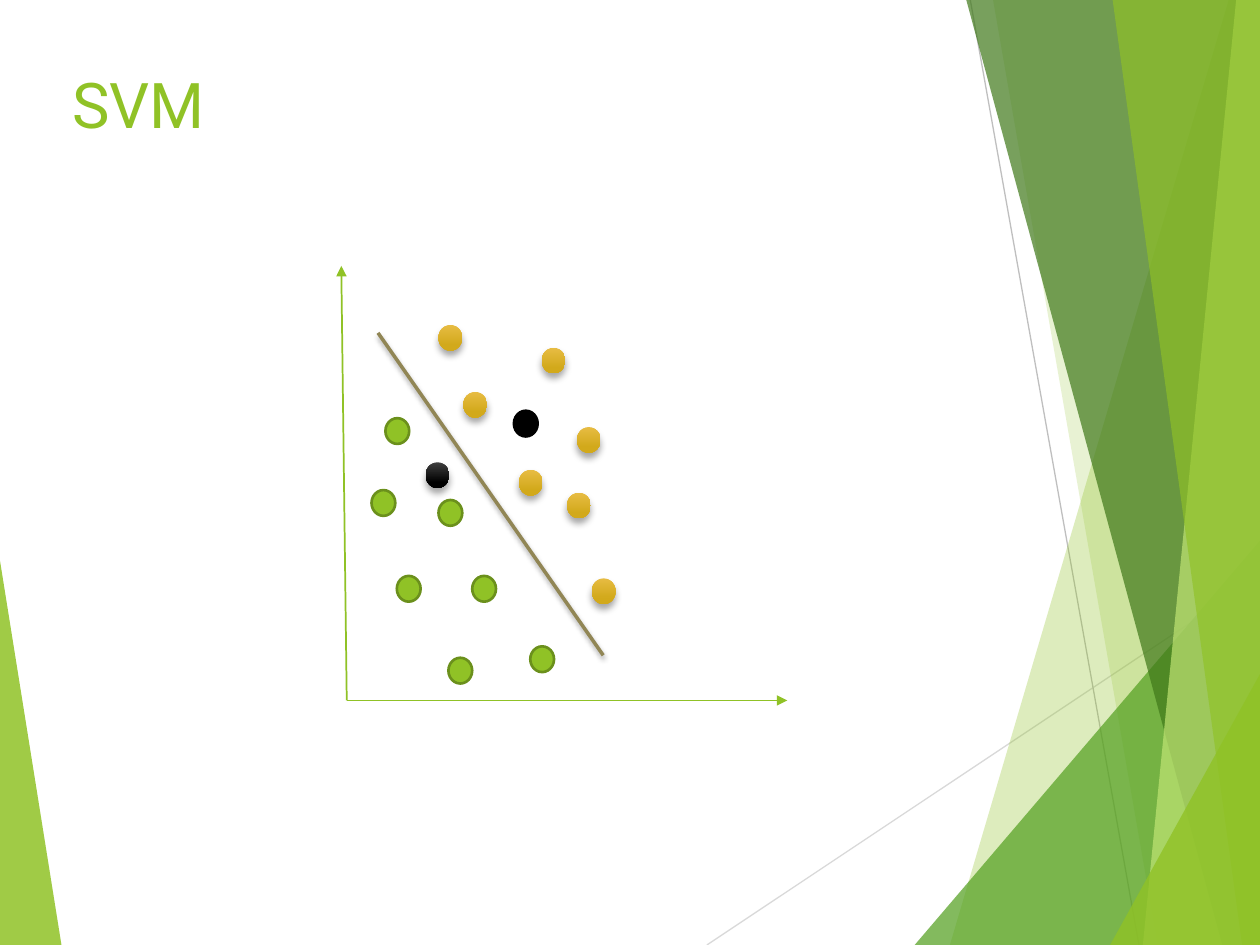
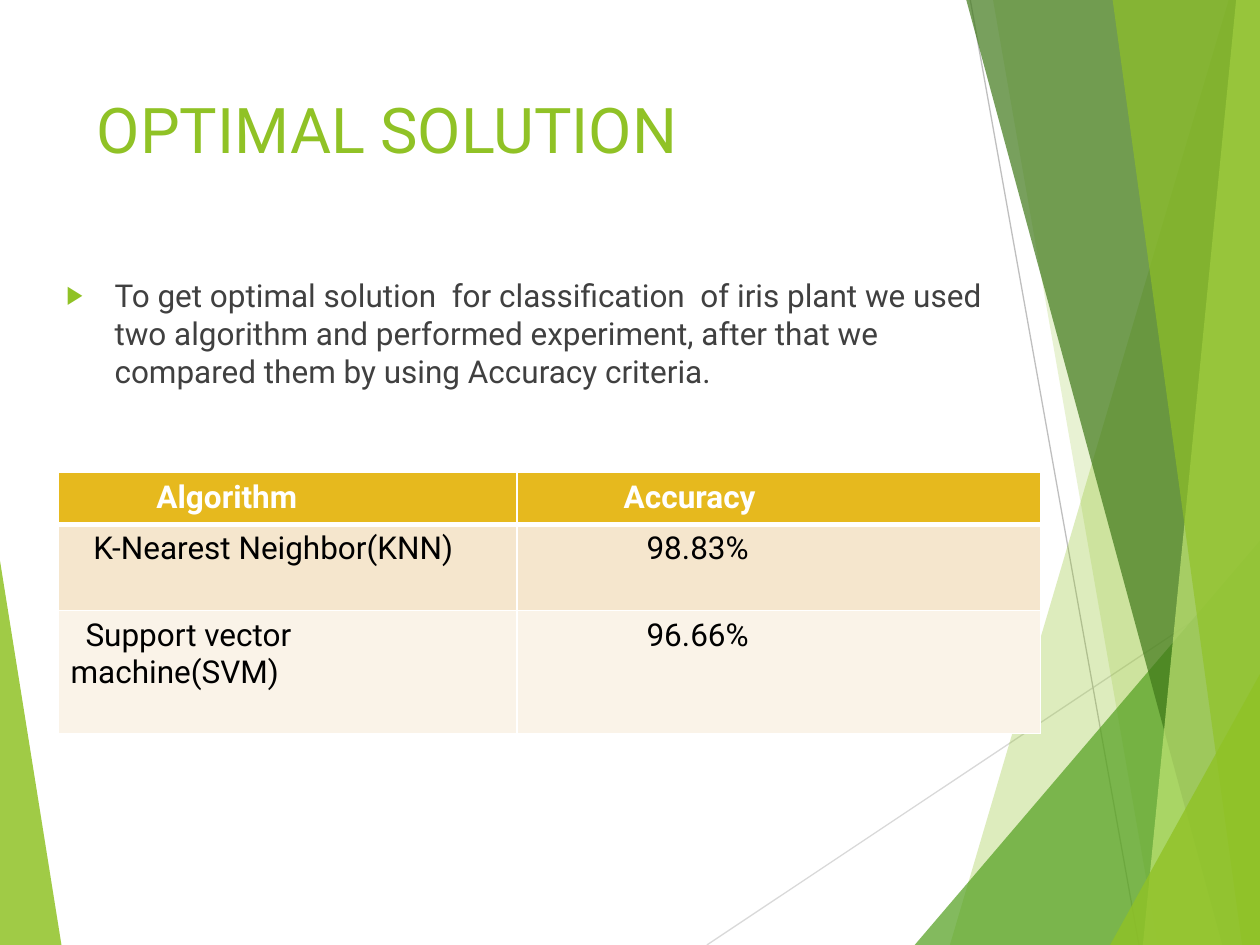
"""Build two slides that compare classifiers for iris plants."""
from lxml import etree
from pptx import Presentation
from pptx import util as u
from pptx.dml.color import RGBColor
from pptx.enum import shapes, text
from pptx.oxml import ns

LIME = RGBColor(0x90, 0xC2, 0x26)
PALE_LIME = RGBColor(0xC0, 0xE4, 0x74)
LEAF = RGBColor(0x54, 0xA0, 0x21)
FOREST = RGBColor(0x3F, 0x78, 0x19)
OLIVE = RGBColor(0x6B, 0x90, 0x1C)
KHAKI = RGBColor(0x91, 0x86, 0x55)
GOLD = RGBColor(0xE6, 0xB9, 0x1E)
GOLD_TOP = RGBColor(0xE7, 0xBC, 0x43)
GOLD_BASE = RGBColor(0xD2, 0xA9, 0x1B)
SAND = RGBColor(0xF5, 0xE6, 0xCD)
CREAM = RGBColor(0xFA, 0xF3, 0xE8)
BLACK = RGBColor(0, 0, 0)
CHARCOAL = RGBColor(0x3F, 0x3F, 0x3F)
TEXT_GREY = RGBColor(0x40, 0x40, 0x40)
LIGHT_GREY = RGBColor(0xD9, 0xD9, 0xD9)
MID_GREY = RGBColor(0xBF, 0xBF, 0xBF)
WHITE = RGBColor(0xFF, 0xFF, 0xFF)

FONT = "Roboto"
WIDTH, HEIGHT = 25.4, 19.05
DOT_WIDTH, DOT_HEIGHT = 0.48, 0.52
TITLE_FONT = {"name": FONT, "size": u.Pt(36), "bold": False}
BODY_FONT = {"name": FONT, "size": u.Pt(18), "bold": False}
HEADER_FONT = {**BODY_FONT, "bold": True}
FRAME = {"word_wrap": True, "auto_size": text.MSO_AUTO_SIZE.NONE,
         "vertical_anchor": text.MSO_ANCHOR.TOP}

GREEN_DOTS = [(0.61, 4.52), (0.89, 3.07), (1.96, 4.72), (1.12, 6.25),
              (2.64, 6.25), (2.16, 7.9), (3.81, 7.67)]
GOLD_DOTS = [(1.96, 1.19), (2.46, 2.54), (4.04, 1.65), (3.58, 4.11),
             (4.75, 3.25), (4.55, 4.57), (5.05, 6.3)]
SHADED_DOT = (1.7, 3.96)
BLACK_DOT = (3.48, 2.92)


def set_values(target, values):
    """Set each named attribute on the target."""
    for name, value in values.items():
        setattr(target, name, value)


def add_child(parent, tag, **attributes):
    """Append a drawing element to the parent and return it."""
    return etree.SubElement(parent, ns.qn(tag), attributes)


def add_effects(shape, blur=0, distance=0):
    """Give the shape a soft shadow below it, or none when blur is zero."""
    effects = add_child(shape.element.spPr, "a:effectLst")
    if blur:
        shadow = add_child(effects, "a:outerShdw", blurRad=str(u.Pt(blur)),
                           dist=str(u.Pt(distance)), dir="5400000",
                           rotWithShape="0")
        color = add_child(shadow, "a:srgbClr", val=str(BLACK))
        add_child(color, "a:alpha", val="35000")


def write(paragraph, words, font_values, color):
    """Add one formatted run to the paragraph."""
    run = paragraph.add_run()
    run.text = words
    set_values(run.font, font_values)
    run.font.color.rgb = color


def add_line(slide, start, end, color, weight, arrow=False, shadow=False):
    """Draw a straight line between two points given in centimetres."""
    ends = [u.Cm(value) for value in (*start, *end)]
    line = slide.shapes.add_connector(shapes.MSO_CONNECTOR.STRAIGHT, *ends)
    line.line.color.rgb = color
    line.line.width = u.Pt(weight)
    if arrow:
        add_child(line.line._get_or_add_ln(), "a:tailEnd", type="triangle")
    add_effects(line, *((3, 2) if shadow else ()))
    return line


def add_facet(slide, points, color, opacity):
    """Draw a translucent polygon from points in centimetres."""
    start, *others = [(u.Cm(x), u.Cm(y)) for x, y in points]
    builder = slide.shapes.build_freeform(*start)
    builder.add_line_segments(others, close=True)
    facet = builder.convert_to_shape()
    facet.shadow.inherit = False
    facet.fill.solid()
    facet.fill.fore_color.rgb = color
    facet.line.fill.background()
    tint = facet.element.spPr.find(ns.qn("a:solidFill"))[0]
    add_child(tint, "a:alpha", val=str(opacity * 1000))
    return facet


def band(top, bottom):
    """Return the outline of a facet that reaches the right edge."""
    return [(top, 0), (bottom, HEIGHT), (WIDTH, HEIGHT), (WIDTH, 0)]


def corner(left, top):
    """Return the outline of a triangle in the lower right corner."""
    return [(left, HEIGHT), (WIDTH, top), (WIDTH, HEIGHT)]


def add_backdrop(slide):
    """Draw the facets and move them to the layout the slides share."""
    wedge = [(0, 11.3), (1.24, HEIGHT), (0, HEIGHT)]
    backdrop = [
        add_facet(slide, wedge, LIME, 85),
        add_line(slide, (14.25, HEIGHT), (WIDTH, 11.62), LIGHT_GREY, 0.75),
        add_line(slide, (19.56, 0), (22.96, HEIGHT), MID_GREY, 0.75),
    ]
    for outline, color, opacity in [
            (band(24.77, 19.15), LIME, 30),
            (band(20.02, 23.34), LIME, 20),
            (corner(18.44, 10.9), LEAF, 72),
            (band(19.48, 24.64), FOREST, 70),
            (band(24.92, 23.04), PALE_LIME, 70),
            (band(22.43, 25.04), LIME, 65),
            (corner(22.38, 13.59), LIME, 80)]:
        backdrop.append(add_facet(slide, outline, color, opacity))
    tree = slide.slide_layout.shapes.element
    for order, shape in enumerate(backdrop):
        shape.element.xpath(".//p:cNvPr")[0].set("id", str(100 + order))
        tree.insert(2 + order, shape.element)


def add_title(slide, words, box):
    """Place and format the title placeholder in the box."""
    title = slide.shapes.title
    set_values(title, dict(zip(("left", "top", "width", "height"),
                               map(u.Cm, box))))
    set_values(title.text_frame, FRAME)
    paragraph = title.text_frame.paragraphs[0]
    paragraph.alignment = text.PP_ALIGN.LEFT
    write(paragraph, words, TITLE_FONT, LIME)


def add_dot(slide, left, top, colors, outline=None):
    """Draw a dot, shaded and shadowed when it has two colours."""
    dot = slide.shapes.add_shape(
        shapes.MSO_SHAPE.OVAL, *map(u.Cm, (left, top, DOT_WIDTH, DOT_HEIGHT)))
    if outline is None:
        dot.line.fill.background()
    else:
        dot.line.color.rgb = outline
        dot.line.width = u.Pt(1.5)
    if len(colors) == 1:
        dot.shadow.inherit = False
        dot.fill.solid()
        dot.fill.fore_color.rgb = colors[0]
        return
    dot.fill.gradient()
    dot.fill.gradient_angle = 270
    for stop, color, position in zip(dot.fill.gradient_stops, colors, (0, 0.78)):
        stop.color.rgb = color
        stop.position = position
    add_effects(dot, 4, 3)


def add_scatter(slide, box):
    """Draw the axes, the two classes and the line that separates them."""
    left, top, width, height = box
    right, bottom = left + width, top + height
    origin = (left + 0.11, bottom)
    add_line(slide, origin, (left, top), LIME, 1, arrow=True)
    add_line(slide, origin, (right, bottom), LIME, 1, arrow=True)
    for x, y in GREEN_DOTS:
        add_dot(slide, left + x, top + y, [LIME], OLIVE)
    add_line(slide, (left + 0.74, top + 1.35), (left + 5.28, top + 7.85),
             KHAKI, 2, shadow=True)
    for x, y in GOLD_DOTS:
        add_dot(slide, left + x, top + y, [GOLD_TOP, GOLD_BASE])
    x, y = SHADED_DOT
    add_dot(slide, left + x, top + y, [CHARCOAL, BLACK])
    x, y = BLACK_DOT
    add_dot(slide, left + x, top + y, [BLACK], BLACK)


def add_bullet(slide, words, box):
    """Write one bulleted paragraph in the box."""
    frame = slide.shapes.add_textbox(*map(u.Cm, box)).text_frame
    set_values(frame, FRAME)
    paragraph = frame.paragraphs[0]
    write(paragraph, words, BODY_FONT, TEXT_GREY)
    properties = paragraph._p.get_or_add_pPr()
    properties.set("marL", str(u.Cm(0.97)))
    properties.set("indent", str(u.Cm(-0.97)))
    add_child(add_child(properties, "a:buClr"), "a:srgbClr", val=str(LIME))
    add_child(properties, "a:buSzPct", val="80000")
    add_child(properties, "a:buFont", typeface=FONT)
    add_child(properties, "a:buChar", char="▶")


def add_borders(cell, bottom_weight):
    """Draw white borders round the cell."""
    properties = cell._tc.get_or_add_tcPr()
    weights = {"a:lnL": 1, "a:lnR": 1, "a:lnT": 1, "a:lnB": bottom_weight}
    for order, (tag, weight) in enumerate(weights.items()):
        border = etree.Element(ns.qn(tag), w=str(u.Pt(weight)))
        fill = add_child(border, "a:solidFill")
        add_child(fill, "a:srgbClr", val=str(WHITE))
        properties.insert(order, border)


def add_accuracy_table(slide, box):
    """Draw the table of algorithms and their accuracy."""
    rows = [
        (1.04, GOLD, HEADER_FONT, WHITE, [("Algorithm", 1.73), ("Accuracy", 1.9)]),
        (1.74, SAND, BODY_FONT, BLACK,
         [("K-Nearest Neighbor(KNN)", 0.46), ("98.83%", 2.36)]),
        (2.48, CREAM, BODY_FONT, BLACK,
         [("Support vector machine(SVM)", 0.3), ("96.66%", 2.36)]),
    ]
    left, top, width, height = box
    table = slide.shapes.add_table(len(rows), 2, *map(u.Cm, box)).table
    table.horz_banding = False
    algorithm_width = 9.25
    for column, size in zip(table.columns,
                            (algorithm_width, width - algorithm_width)):
        column.width = u.Cm(size)
    for row, (height, fill, font, color, entries) in zip(table.rows, rows):
        row.height = u.Cm(height)
        for cell, (words, indent) in zip(row.cells, entries):
            cell.margin_right = u.Cm(0.8)
            cell.fill.solid()
            cell.fill.fore_color.rgb = fill
            add_borders(cell, 3 if fill == GOLD else 1)
            paragraph = cell.text_frame.paragraphs[0]
            write(paragraph, words, font, color)
            paragraph._p.get_or_add_pPr().set("indent", str(u.Cm(indent)))


def build_svm_slide(slide):
    """Fill the slide that shows a separating line."""
    add_title(slide, "SVM", (1.2, 1.19, 17.63, 1.96))
    add_scatter(slide, (6.88, 5.36, 8.99, 8.76))


def build_solution_slide(slide):
    """Fill the slide that compares the accuracy of both algorithms."""
    add_title(slide, "OPTIMAL SOLUTION", (1.7, 1.7, 17.63, 3.66))
    add_bullet(slide, "To get optimal solution  for classification  of iris "
               "plant we used two algorithm and performed experiment, after "
               "that we compared them by using Accuracy criteria.",
               (1.09, 5.44, 19.41, 3.2))
    add_accuracy_table(slide, (1.17, 9.53, 19.81, 5.26))


def main():
    """Build and save the presentation."""
    presentation = Presentation()
    presentation.slide_width = u.Cm(WIDTH)
    presentation.slide_height = u.Cm(HEIGHT)
    layout = presentation.slide_layouts.get_by_name("Title Only")
    svm_slide, solution_slide = [presentation.slides.add_slide(layout)
                                 for _ in range(2)]
    add_backdrop(svm_slide)
    build_svm_slide(svm_slide)
    build_solution_slide(solution_slide)
    presentation.save("out.pptx")


if __name__ == "__main__":
    main()
